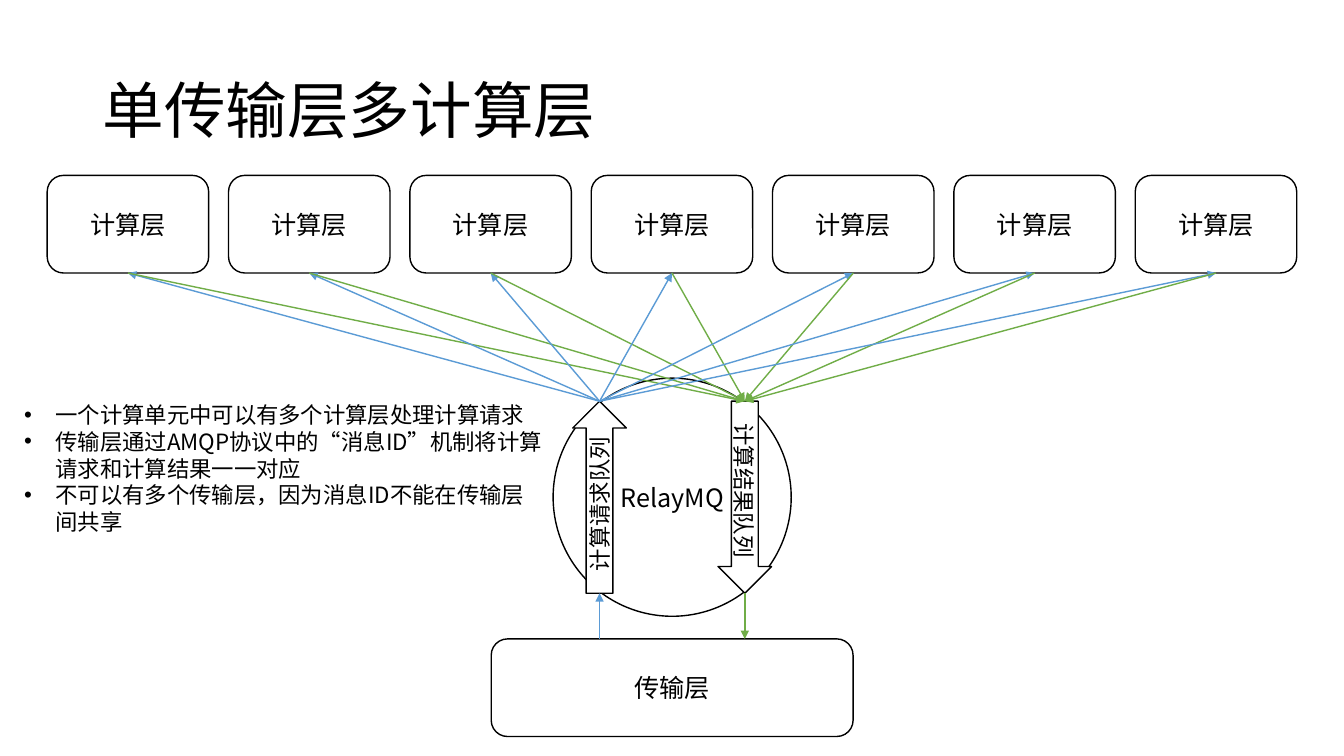
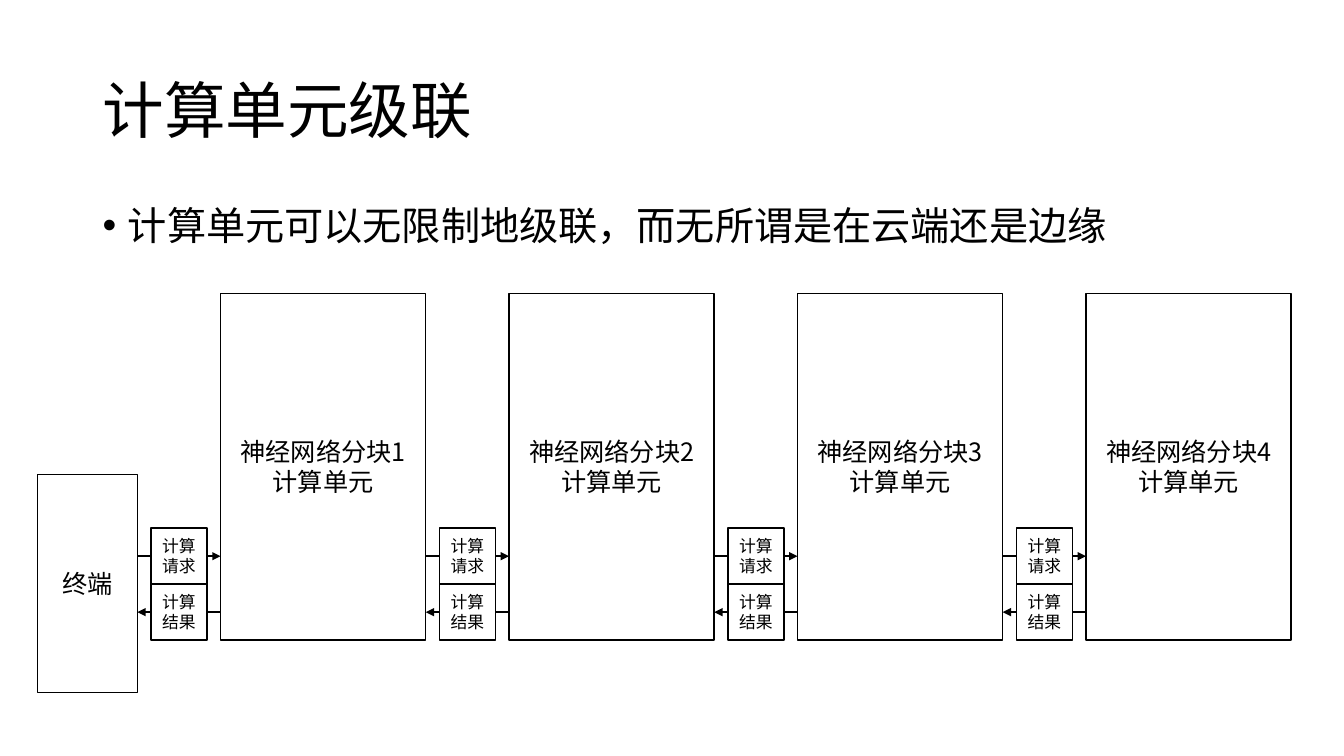
from lxml import etree
from pptx import Presentation
from pptx.dml.color import RGBColor
from pptx.enum.shapes import MSO_CONNECTOR, MSO_SHAPE
from pptx.enum.text import MSO_ANCHOR, MSO_AUTO_SIZE, PP_ALIGN
from pptx.oxml.ns import qn
from pptx.util import Cm, Pt

ELLIPSE = MSO_SHAPE.OVAL
ARROW = MSO_SHAPE.RIGHT_ARROW
RECTANGLE = MSO_SHAPE.RECTANGLE
ROUNDED = MSO_SHAPE.ROUNDED_RECTANGLE
STRAIGHT = MSO_CONNECTOR.STRAIGHT
MIDDLE = MSO_ANCHOR.MIDDLE
TOP = MSO_ANCHOR.TOP
LEFT = PP_ALIGN.LEFT
CENTER = PP_ALIGN.CENTER
NO_FIT = MSO_AUTO_SIZE.NONE
GROW = MSO_AUTO_SIZE.SHAPE_TO_FIT_TEXT

BLACK = RGBColor(0x00, 0x00, 0x00)
WHITE = RGBColor(0xFF, 0xFF, 0xFF)
BLUE = RGBColor(0x5B, 0x9B, 0xD5)
GREEN = RGBColor(0x70, 0xAD, 0x47)

FONT = "Noto Sans CJK SC"
TITLE_ONLY, TITLE_AND_BODY = 5, 1
BOTTOM_SITE = 2

TITLE_AREA = (2.33, 1.02, 29.21, 3.68)
BODY_AREA = (2.33, 5.08, 29.21, 12.09)
TITLE_PARA = {"alignment": LEFT, "line_spacing": 0.9, "space_before": Pt(0)}
BODY_PARA = {"alignment": LEFT, "line_spacing": 0.9, "space_before": Pt(10)}
LABEL_PARA = {"alignment": CENTER}
NOTE_PARA = {"alignment": LEFT}

LAYER_COUNT = 7
LAYER_LEFT, LAYER_TOP, LAYER_STEP = 1.19, 4.42, 4.57
LAYER_WIDTH, LAYER_HEIGHT = 4.07, 2.46
QUEUE_CENTER, QUEUE_MIDDLE = 16.94, 12.53
QUEUE_DIAMETER, QUEUE_OFFSET = 6, 1.83
QUEUE_LENGTH, QUEUE_THICKNESS = 4.84, 1.35
TRANSPORT_TOP, TRANSPORT_WIDTH = 16.1, 9.12

BLOCK_COUNT = 4
BLOCK_LEFT, BLOCK_TOP, BLOCK_STEP = 5.56, 7.39, 7.27
BLOCK_WIDTH, BLOCK_HEIGHT = 5.17, 8.74
GAP = BLOCK_STEP - BLOCK_WIDTH
MESSAGE_TOP, MESSAGE_SIDE = 13.31, 1.41


def apply_format(target, values):
    for name, value in values.items():
        setattr(target, name, value)


def place(shape, area):
    names = ("left", "top", "width", "height")
    apply_format(shape, {name: Cm(value) for name, value in zip(names, area)})


def add_bullet(para, indent):
    properties = para._p.get_or_add_pPr()
    properties.set("marL", str(Cm(indent)))
    properties.set("indent", str(-Cm(indent)))
    etree.SubElement(properties, qn("a:buFont")).set("typeface", "Arial")
    etree.SubElement(properties, qn("a:buChar")).set("char", "•")


def write(shape, lines, size, para_format, anchor=MIDDLE, fit=NO_FIT, indent=None):
    frame = shape.text_frame
    apply_format(frame, {"word_wrap": True, "auto_size": fit, "vertical_anchor": anchor})
    for index, line in enumerate(lines):
        para = frame.add_paragraph() if index else frame.paragraphs[0]
        apply_format(para, para_format)
        if indent:
            add_bullet(para, indent)
        span = para.add_run()
        span.text = line
        apply_format(span.font, {"size": Pt(size), "name": FONT})
        span.font.color.rgb = BLACK
        etree.SubElement(span.font._element, qn("a:ea")).set("typeface", FONT)


def add_box(shapes, kind, area, lines, size=18, rotation=0):
    box = shapes.add_shape(kind, *(Cm(value) for value in area))
    box.rotation = rotation
    box.shadow.inherit = False
    box.fill.solid()
    box.fill.fore_color.rgb = WHITE
    box.line.color.rgb = BLACK
    box.line.width = Pt(1)
    write(box, lines, size, LABEL_PARA)
    return box


def add_arrow(shapes, start, end, color, width=1):
    arrow = shapes.add_connector(STRAIGHT, *(Cm(value) for value in start + end))
    arrow.line.color.rgb = color
    arrow.line.width = Pt(width)
    etree.SubElement(arrow.line._get_or_add_ln(), qn("a:tailEnd")).set("type", "triangle")
    etree.SubElement(arrow._element.spPr, qn("a:effectLst"))
    return arrow


def add_page(deck, layout, title):
    page = deck.slides.add_slide(deck.slide_layouts[layout])
    place(page.shapes.title, TITLE_AREA)
    write(page.shapes.title, [title], 44, TITLE_PARA)
    return page


def add_queues(shapes, request_x, result_x):
    group = shapes.add_group_shape().shapes
    radius = QUEUE_DIAMETER / 2
    circle = (QUEUE_CENTER - radius, QUEUE_MIDDLE - radius, QUEUE_DIAMETER, QUEUE_DIAMETER)
    add_box(group, ELLIPSE, circle, ["RelayMQ"])
    queues = ((request_x, 270, "计算请求队列"), (result_x, 90, "计算结果队列"))
    for center, rotation, label in queues:
        area = (center - QUEUE_LENGTH / 2, QUEUE_MIDDLE - QUEUE_THICKNESS / 2,
                QUEUE_LENGTH, QUEUE_THICKNESS)
        add_box(group, ARROW, area, [label], 16, rotation)


def add_layers(shapes, request_tip, result_tail):
    for index in range(LAYER_COUNT):
        left = LAYER_LEFT + index * LAYER_STEP
        area = (left, LAYER_TOP, LAYER_WIDTH, LAYER_HEIGHT)
        layer = add_box(shapes, ROUNDED, area, ["计算层"])
        foot = (left + LAYER_WIDTH / 2, LAYER_TOP + LAYER_HEIGHT)
        request = add_arrow(shapes, request_tip, foot, BLUE)
        request.end_connect(layer, BOTTOM_SITE)
        result = add_arrow(shapes, foot, result_tail, GREEN)
        result.begin_connect(layer, BOTTOM_SITE)


def build_layers_page(deck):
    shapes = add_page(deck, TITLE_ONLY, "单传输层多计算层").shapes
    request_x, result_x = QUEUE_CENTER - QUEUE_OFFSET, QUEUE_CENTER + QUEUE_OFFSET
    queue_top = QUEUE_MIDDLE - QUEUE_LENGTH / 2
    queue_bottom = queue_top + QUEUE_LENGTH
    add_queues(shapes, request_x, result_x)
    transport = (QUEUE_CENTER - TRANSPORT_WIDTH / 2, TRANSPORT_TOP,
                 TRANSPORT_WIDTH, LAYER_HEIGHT)
    add_box(shapes, ROUNDED, transport, ["传输层"])
    add_layers(shapes, (request_x, queue_top), (result_x, queue_top))
    add_arrow(shapes, (request_x, TRANSPORT_TOP), (request_x, queue_bottom), BLUE)
    add_arrow(shapes, (result_x, queue_bottom), (result_x, TRANSPORT_TOP), GREEN)
    notes = shapes.add_textbox(Cm(0.36), Cm(9.98), Cm(13.56), Cm(3.68))
    write(notes, [
        "一个计算单元中可以有多个计算层处理计算请求",
        "传输层通过AMQP协议中的“消息ID”机制将计算请求和计算结果一一对应",
        "不可以有多个传输层，因为消息ID不能在传输层间共享",
    ], 16, NOTE_PARA, TOP, GROW, 0.79)


def add_exchange(shapes, right):
    group = shapes.add_group_shape().shapes
    left = right - GAP
    messages = (("计算请求", left, right), ("计算结果", right, left))
    for index, (label, start, end) in enumerate(messages):
        top = MESSAGE_TOP + index * MESSAGE_SIDE
        middle = top + MESSAGE_SIDE / 2
        add_arrow(group, (start, middle), (end, middle), BLACK, 1.5)
        area = (left + (GAP - MESSAGE_SIDE) / 2, top, MESSAGE_SIDE, MESSAGE_SIDE)
        add_box(group, RECTANGLE, area, [label], 12)


def build_cascade_page(deck):
    page = add_page(deck, TITLE_AND_BODY, "计算单元级联")
    body = page.placeholders[1]
    place(body, BODY_AREA)
    write(body, ["计算单元可以无限制地级联，而无所谓是在云端还是边缘"],
          28, BODY_PARA, TOP, indent=0.64)
    add_box(page.shapes, RECTANGLE, (0.94, 11.96, 2.52, 5.49), ["终端"])
    for index in range(BLOCK_COUNT):
        left = BLOCK_LEFT + index * BLOCK_STEP
        area = (left, BLOCK_TOP, BLOCK_WIDTH, BLOCK_HEIGHT)
        add_box(page.shapes, RECTANGLE, area, [f"神经网络分块{index + 1}", "计算单元"])
        add_exchange(page.shapes, left)


def main():
    deck = Presentation()
    apply_format(deck, {"slide_width": Cm(33.87), "slide_height": Cm(19.05)})
    build_layers_page(deck)
    build_cascade_page(deck)
    deck.save("out.pptx")


if __name__ == "__main__":
    main()
